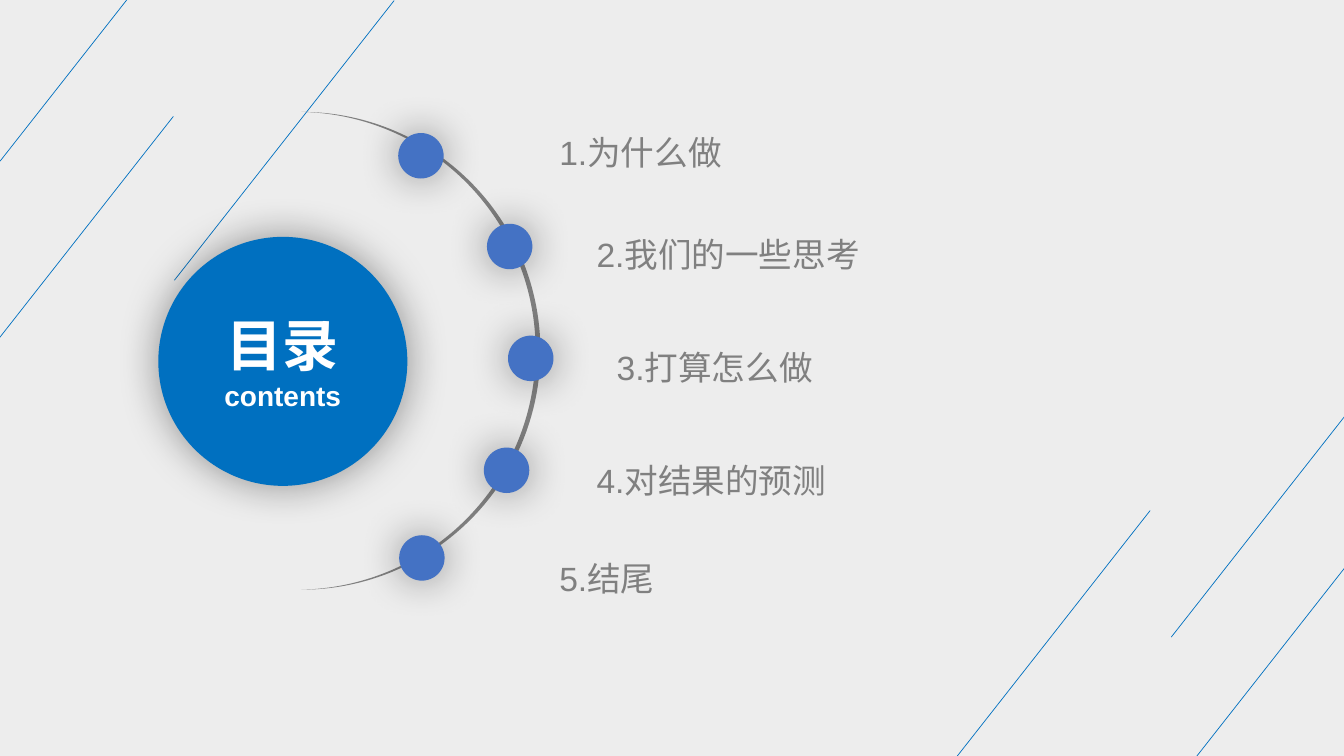
from dataclasses import dataclass

from lxml import etree
from pptx import Presentation
from pptx import util as u
from pptx.dml.color import RGBColor
from pptx.enum import shapes, text
from pptx.oxml.ns import qn

COLORS = {
    "background": "EDEDED",
    "accent": "0070C0",
    "dot": "4472C4",
    "gray": "808080",
    "white": "FFFFFF",
    "shadow": "000000",
}
FONT = "Arial"
WIDTH, HEIGHT = u.Inches(13.333), u.Inches(7.5)


@dataclass(frozen=True)
class Point:
    """A position in percent of the slide's width and height."""
    x: float
    y: float


@dataclass(frozen=True)
class Entry:
    """One agenda line with the dot that belongs to it."""
    label: str
    label_at: Point
    dot_at: Point
    label_width: float = 36


ENTRIES = [
    Entry("1.为什么做", Point(40.88, 14.13), Point(29.63, 17.6), 44.18),
    Entry("2.我们的一些思考", Point(43.65, 27.6), Point(36.23, 29.6)),
    Entry("3.打算怎么做", Point(45.15, 42.53), Point(37.8, 44.4)),
    Entry("4.对结果的预测", Point(43.65, 57.47), Point(36, 59.2)),
    Entry("5.结尾", Point(40.88, 70.53), Point(29.7, 70.8)),
]
LABEL_HEIGHT = 8.53
DOT_DIAMETER = 3.38

# All diagonals share one slope and length; only their lower ends differ
DIAGONAL_STARTS = [
    Point(69.23, 104.53), Point(87.15, 84.27), Point(-3.45, 52.4),
    Point(12.98, 37.07), Point(85.58, 107.87), Point(0, 21.33),
]
DIAGONAL_RUN, DIAGONAL_RISE = 16.35, 37

TITLE_AT, TITLE_DIAMETER = Point(11.78, 31.33), 18.53
ARC_AT, ARC_WIDTH, ARC_HEIGHT = Point(22.43, 14.8), 17.78, 63.2


def across(share: float) -> int:
    return round(WIDTH * share / 100)


def down(share: float) -> int:
    return round(HEIGHT * share / 100)


def color(name: str) -> RGBColor:
    return RGBColor.from_string(COLORS[name])


def add_diagonal(slide, start: Point) -> None:
    line = slide.shapes.add_connector(
        shapes.MSO_CONNECTOR.STRAIGHT, across(start.x), down(start.y),
        across(start.x + DIAGONAL_RUN), down(start.y - DIAGONAL_RISE))
    line.line.color.rgb = color("accent")
    line.line.width = u.Pt(0.5)
    etree.SubElement(line._element.spPr, qn("a:effectLst"))


def add_filled(slide, kind, at: Point, width: int, height: int, fill: str):
    shape = slide.shapes.add_shape(kind, across(at.x), down(at.y), width, height)
    shape.shadow.inherit = False
    shape.fill.solid()
    shape.fill.fore_color.rgb = color(fill)
    shape.line.fill.background()
    return shape


def add_glowing_circle(slide, at: Point, diameter: float, fill: str) -> None:
    size = across(diameter)
    circle = add_filled(slide, shapes.MSO_SHAPE.OVAL, at, size, size, fill)
    effects = circle._element.spPr.find(qn("a:effectLst"))
    shadow = etree.SubElement(effects, qn("a:outerShdw"), blurRad=str(u.Pt(30)),
                              dist="0", dir="0", algn="ctr", rotWithShape="0")
    tint = etree.SubElement(shadow, qn("a:srgbClr"), val=COLORS["shadow"])
    etree.SubElement(tint, qn("a:alpha"), val="40000")


def add_label(slide, entry: Entry) -> None:
    box = slide.shapes.add_textbox(
        across(entry.label_at.x), down(entry.label_at.y),
        across(entry.label_width), down(LABEL_HEIGHT))
    box.text_frame.word_wrap = True
    box.text_frame.auto_size = text.MSO_AUTO_SIZE.SHAPE_TO_FIT_TEXT
    paragraph = box.text_frame.paragraphs[0]
    paragraph.text = entry.label
    paragraph.line_spacing = 1.5
    paragraph.font.name = FONT
    paragraph.font.size = u.Pt(24)
    paragraph.font.color.rgb = color("gray")


def place_title(slide) -> None:
    title = slide.shapes.title
    title.left, title.top = across(TITLE_AT.x), down(TITLE_AT.y)
    title.width = title.height = across(TITLE_DIAMETER)
    frame = title.text_frame
    frame.text = "目录\ncontents"
    frame.word_wrap = True
    frame.auto_size = text.MSO_AUTO_SIZE.NONE
    frame.vertical_anchor = text.MSO_ANCHOR.MIDDLE
    for paragraph, size in zip(frame.paragraphs, (40, 20)):
        paragraph.alignment = text.PP_ALIGN.CENTER
        paragraph.font.name = FONT
        paragraph.font.size = u.Pt(size)
        paragraph.font.bold = True
        paragraph.font.color.rgb = color("white")
    # Bring the title in front of its circle
    slide.shapes._spTree.append(title._element)


def main() -> None:
    presentation = Presentation()
    presentation.slide_width, presentation.slide_height = WIDTH, HEIGHT
    slide = presentation.slides.add_slide(presentation.slide_layouts[5])

    # Backdrop
    slide.background.fill.solid()
    slide.background.fill.fore_color.rgb = color("background")
    for start in DIAGONAL_STARTS:
        add_diagonal(slide, start)

    # Agenda labels
    for entry in ENTRIES:
        add_label(slide, entry)

    # Title circle
    add_glowing_circle(slide, TITLE_AT, TITLE_DIAMETER, "accent")
    place_title(slide)

    # Arc with one dot per entry
    arc = add_filled(slide, shapes.MSO_SHAPE.MOON, ARC_AT,
                     across(ARC_WIDTH), down(ARC_HEIGHT), "gray")
    arc.adjustments[0] = 0.02
    arc.rotation = 180
    for entry in ENTRIES:
        add_glowing_circle(slide, entry.dot_at, DOT_DIAMETER, "dot")

    presentation.save("out.pptx")


if __name__ == "__main__":
    main()
